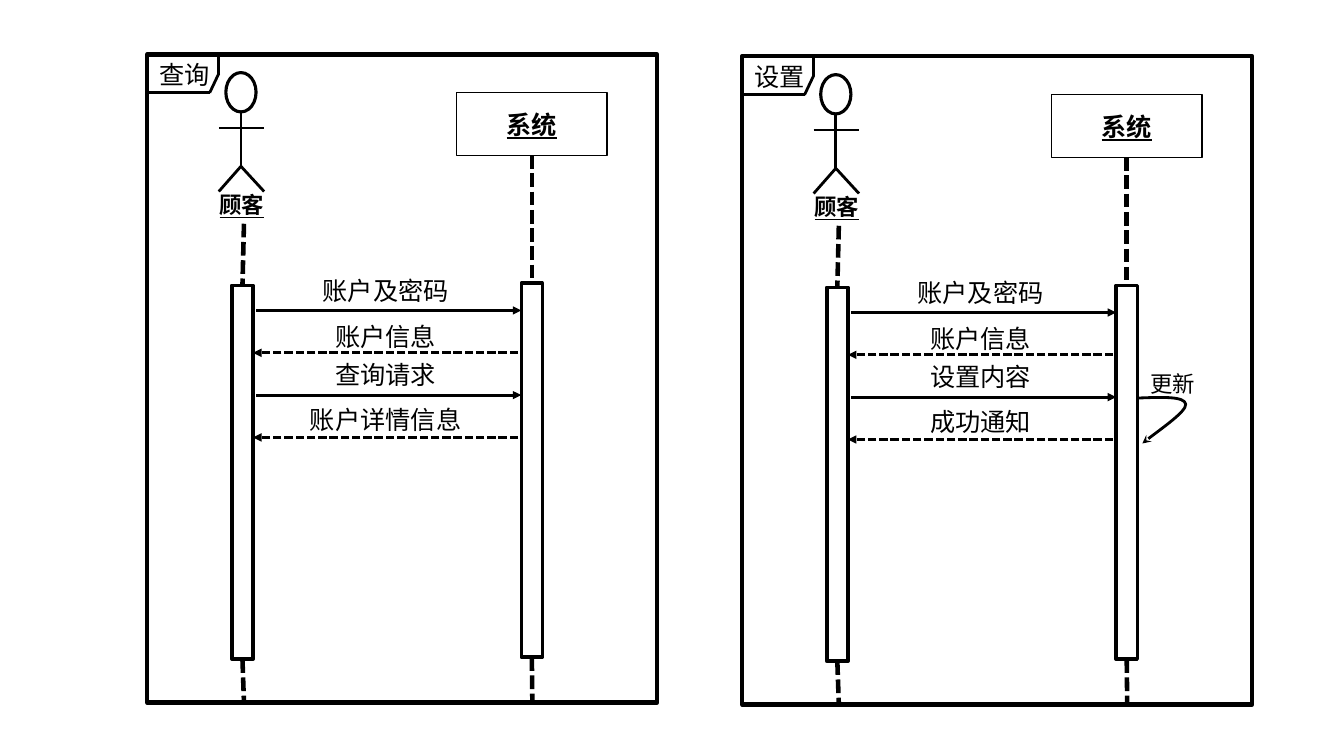
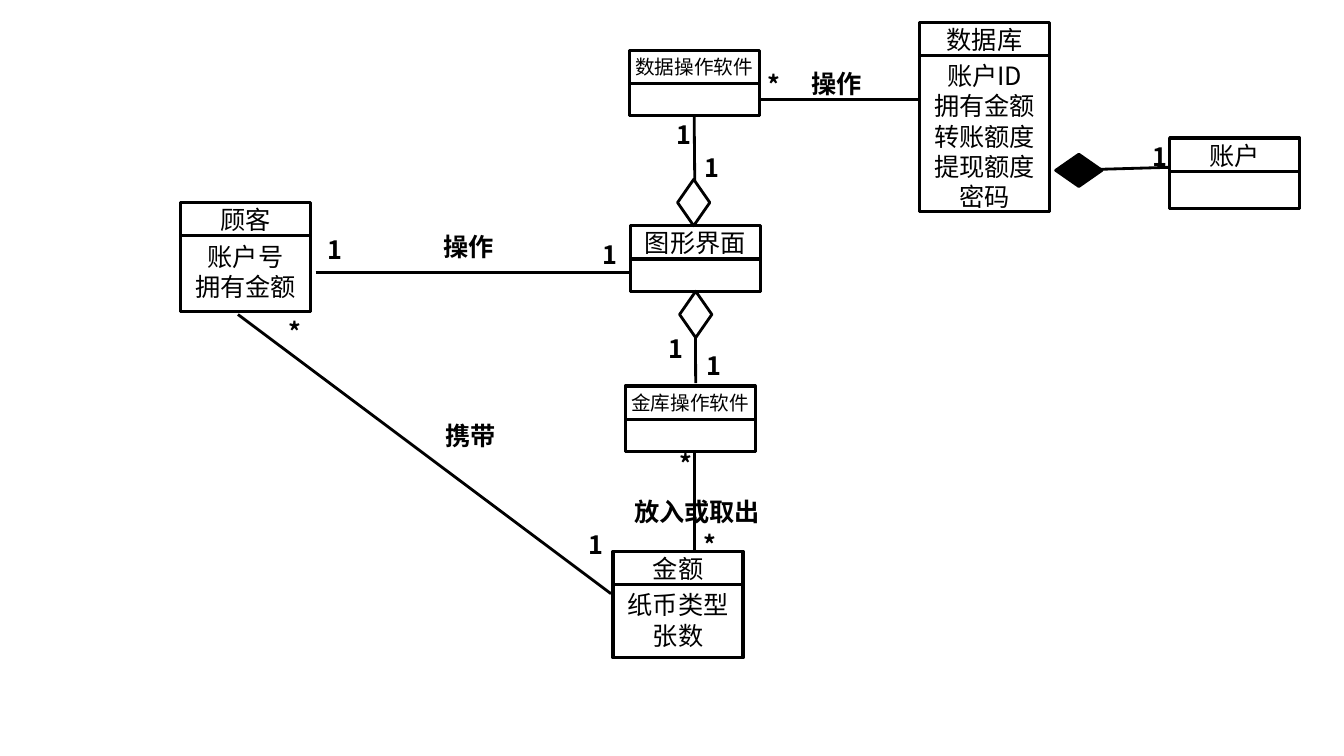
from lxml.etree import SubElement
from pptx import Presentation
from pptx.dml.color import RGBColor
from pptx.enum.dml import MSO_LINE
from pptx.enum.shapes import MSO_CONNECTOR, MSO_SHAPE
from pptx.enum.text import MSO_ANCHOR, PP_ALIGN
from pptx.oxml.ns import qn
from pptx.util import Inches, Pt

FONT = "Noto Sans CJK SC"
BLACK, WHITE = "000000", "FFFFFF"
CLASS_W, HEADER_H = 1.29, 0.33
TOP, LEFT, BOTTOM, RIGHT = range(4)


def paint(target, color):
    if hasattr(target, "solid"):
        target.solid()
        target = target.fore_color
    target.rgb = RGBColor.from_string(color)


def write(tf, text, size=18, bold=False, underline=False, align=PP_ALIGN.LEFT):
    tf.word_wrap = True
    for i, line in enumerate(text.split("\n")):
        p = tf.paragraphs[0] if i == 0 else tf.add_paragraph()
        p.alignment = align
        p.line_spacing = Pt(round(size * 1.2, 1))
        r = p.add_run()
        r.text = line
        f = r.font
        f.size, f.bold, f.underline = Pt(size), bold, underline
        paint(f.color, BLACK)
        f.name = FONT
        SubElement(r._r.get_or_add_rPr(), qn("a:ea"), typeface=FONT)


def label(s, text, x, y, w=0.36, h=0.4, **fmt):
    box = s.shapes.add_textbox(Inches(x), Inches(y), Inches(w), Inches(h))
    write(box.text_frame, text, **fmt)


def shape(s, x, y, w, h, kind=MSO_SHAPE.RECTANGLE, fill=None, width=2.25):
    sp = s.shapes.add_shape(kind, Inches(x), Inches(y), Inches(w), Inches(h))
    sp.shadow.inherit = False
    if fill:
        paint(sp.fill, fill)
    else:
        sp.fill.background()
    paint(sp.line.fill, BLACK)
    sp.line.width = Pt(width)
    return sp


def arrowhead(sp, kind):
    SubElement(sp.line._get_or_add_ln(), qn("a:tailEnd"), type=kind)


def line(s, x1, y1, x2, y2, width=2, dashed=False, arrow=False, start=None, end=None):
    c = s.shapes.add_connector(MSO_CONNECTOR.STRAIGHT, Inches(x1), Inches(y1),
                               Inches(x2), Inches(y2))
    paint(c.line.fill, BLACK)
    c.line.width = Pt(width)
    if dashed:
        c.line.dash_style = MSO_LINE.SQUARE_DOT
    if arrow:
        arrowhead(c, "triangle")
    SubElement(c._element.spPr, qn("a:effectLst"))
    if start:
        c.begin_connect(*start)
    if end:
        c.end_connect(*end)


def actor(s, x, y, name):
    shape(s, x + 0.07, y, 0.3, 0.39, MSO_SHAPE.OVAL)
    mid = x + 0.22
    line(s, x, y + 0.55, x + 0.45, y + 0.55)
    line(s, mid, y + 0.39, mid, y + 0.93)
    for foot in (x, x + 0.45):
        line(s, foot, y + 1.18, mid, y + 0.93)
    label(s, name, x - 0.09, y + 1.13, 0.68, 0.37, size=16, bold=True, underline=True)


def frame_tab(s, x, y, title):
    points = [(x, y + 0.38), (x + 0.62, y + 0.38), (x + 0.71, y + 0.19), (x + 0.71, y)]
    for a, b in zip(points, points[1:]):
        line(s, *a, *b)
    label(s, title, x + 0.02, y, 0.78)


def self_call(s, x, y, text):
    curve = [(0.24, -0.01), (0.47, -0.02), (0.48, 0.06),
             (0.49, 0.13), (0.13, 0.38), (0.05, 0.45)]
    fb = s.shapes.build_freeform(Inches(x), Inches(y))
    fb.add_line_segments([(Inches(x + dx), Inches(y + dy)) for dx, dy in curve], close=False)
    sp = fb.convert_to_shape()
    sp.shadow.inherit = False
    sp.fill.background()
    paint(sp.line.fill, BLACK)
    sp.line.width = Pt(2)
    arrowhead(sp, "stealth")
    outline = next(sp._element.iter(qn("a:path")))
    segments = outline.findall(qn("a:lnTo"))
    for i in range(0, len(segments), 3):
        bezier = SubElement(outline, qn("a:cubicBezTo"))
        for seg in segments[i:i + 3]:
            bezier.append(seg[0])
            outline.remove(seg)
    label(s, text, x + 0.03, y - 0.33, 0.67, 0.37, size=16)


def sequence_frame(s, x, y, title, messages, update=None):
    actor(s, x + 0.71, y + 0.18, "顾客")
    shape(s, x, y, 5.06, 6.43, width=3)
    head = shape(s, x + 3.07, y + 0.38, 1.49, 0.62, fill=WHITE, width=1)
    head.text_frame.vertical_anchor = MSO_ANCHOR.MIDDLE
    write(head.text_frame, "系统", bold=True, underline=True, align=PP_ALIGN.CENTER)
    for bar_x, bar_y, life_x, top, start in ((0.84, 2.29, 0.96, 1.68, None),
                                             (3.71, 2.27, 3.82, 1.02, (head, BOTTOM))):
        bar = shape(s, x + bar_x, y + bar_y, 0.21, 3.71, width=2.5)
        mid = x + life_x
        line(s, mid, y + top, mid, y + bar_y, 3.25, True, start=start, end=(bar, TOP))
        line(s, mid, y + bar_y + 3.71, mid, y + 6.43, 3.25, True, start=(bar, BOTTOM))
    for i, (text, text_y) in enumerate(zip(messages, (2.14, 2.6, 2.98, 3.42))):
        reply = i % 2 == 1
        x1, x2 = (3.68, 1.05) if reply else (1.08, 3.71)
        line_y = y + 2.54 + 0.42 * i
        line(s, x + x1, line_y, x + x2, line_y, dashed=reply, arrow=True)
        label(s, text, x + 1.05, y + text_y, 2.63, align=PP_ALIGN.CENTER)
    if update:
        self_call(s, x + 3.92, y + 3.39, update)
    frame_tab(s, x, y, title)


def class_box(s, x, y, h, title, fields=None, size=18):
    outer = shape(s, x, y, CLASS_W, h)
    shape(s, x, y + HEADER_H, CLASS_W, h - HEADER_H)
    rise = 0.03 if size == 18 else 0
    label(s, title, x - 0.08, y - rise, CLASS_W + 0.16, size=size, align=PP_ALIGN.CENTER)
    if fields:
        label(s, fields, x, y + HEADER_H, CLASS_W, h - HEADER_H, align=PP_ALIGN.CENTER)
    return outer


def diamond(s, x, y, fill=WHITE, rotation=0):
    sp = shape(s, x, y, 0.32, 0.46, MSO_SHAPE.DIAMOND, fill, 2)
    sp.rotation = rotation


def sequence_slide(prs):
    s = prs.slides.add_slide(prs.slide_layouts[6])
    sequence_frame(s, 1.46, 0.54, "查询", ["账户及密码", "账户信息", "查询请求", "账户详情信息"])
    sequence_frame(s, 7.36, 0.56, "设置", ["账户及密码", "账户信息", "设置内容", "成功通知"], "更新")


def class_slide(prs):
    s = prs.slides.add_slide(prs.slide_layouts[6])
    class_box(s, 11.6, 1.37, 0.7, "账户")
    gui = class_box(s, 6.25, 2.24, 0.65, "图形界面")
    class_box(s, 6.08, 5.47, 1.05, "金额", "纸币类型\n张数")
    class_box(s, 1.79, 2.01, 1.08, "顾客", "账户号\n拥有金额")
    data_tool = class_box(s, 6.24, 0.5, 0.65, "数据操作软件", size=14)
    class_box(s, 9.12, 0.22, 1.88, "数据库", "账户ID\n拥有金额\n转账额度\n提现额度\n密码")
    class_box(s, 6.2, 3.83, 0.65, "金库操作软件", size=14)

    line(s, 3.13, 2.7, 6.24, 2.7)
    line(s, 2.36, 3.12, 6.06, 5.89)
    line(s, 6.89, 4.48, 6.89, 5.47)
    line(s, 7.53, 0.99, 9.12, 0.99)
    line(s, 10.9, 1.68, 11.6, 1.66)
    line(s, 6.89, 2.24, 6.88, 1.15, start=(gui, TOP), end=(data_tool, BOTTOM))
    line(s, 6.89, 2.89, 6.9, 3.8, start=(gui, BOTTOM))
    diamond(s, 6.72, 1.78)
    diamond(s, 6.74, 2.89)
    diamond(s, 10.54, 1.46, BLACK, 90)

    for text, x, y, w in (("操作", 4.3, 2.25, 1.13), ("携带", 4.32, 4.12, 0.78),
                          ("放入或取出", 6.19, 4.87, 2.35), ("操作", 7.95, 0.63, 0.78)):
        label(s, text, x, y, w, bold=True)
    multiplicities = {
        "1": [(5.88, 2.33), (3.15, 2.28), (5.74, 5.2), (6.61, 1.13), (6.89, 1.46),
              (11.33, 1.35), (6.91, 3.43), (6.53, 3.26)],
        "*": [(2.76, 3.09), (6.88, 5.2), (6.64, 4.4), (7.51, 0.64)],
    }
    for mark, places in multiplicities.items():
        for x, y in places:
            label(s, mark, x, y, bold=True)


def main():
    prs = Presentation()
    prs.slide_width, prs.slide_height = Inches(13.33), Inches(7.5)
    sequence_slide(prs)
    class_slide(prs)
    prs.save("out.pptx")


if __name__ == "__main__":
    main()
